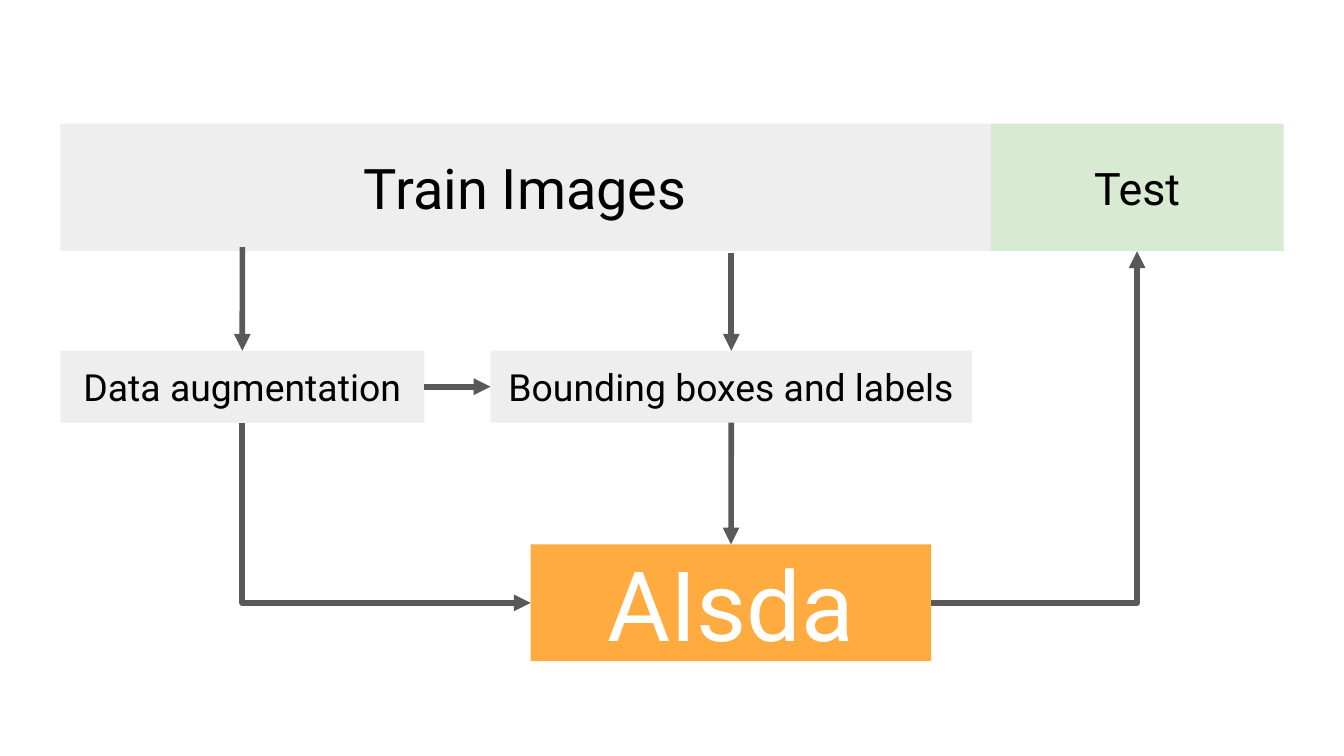
from lxml.etree import SubElement as Sub
from pptx import Presentation
from pptx.dml.color import RGBColor as RGB
from pptx.enum.shapes import MSO_CONNECTOR as Link, MSO_SHAPE as Form
from pptx.enum.text import MSO_ANCHOR as Anchor, MSO_AUTO_SIZE as Fit, PP_ALIGN as Align
from pptx.oxml.ns import qn
from pptx.util import Cm, Pt

FONT = "Roboto"
BLACK = RGB(0x00, 0x00, 0x00)
WHITE = RGB(0xFF, 0xFF, 0xFF)
GRAY = RGB(0xEE, 0xEE, 0xEE)
GREEN = RGB(0xD9, 0xEA, 0xD3)
AMBER = RGB(0xFF, 0xAB, 0x40)
DARK = RGB(0x59, 0x59, 0x59)

# Rows and columns of the flow, in cm
LEFT, TOP, HIGH = 1.14, 2.34, 2.41
SPLIT, RIGHT = 18.72, 24.26
BASE = TOP + HIGH
STEP, LOW = 6.63, 1.36
AUG_X, BOX_X = 4.58, 13.82
TEST_X = (SPLIT + RIGHT) / 2
MODEL_L, MODEL_W, MODEL_T, MODEL_H = 10.03, 7.57, 10.29, 2.21
MODEL_Y = MODEL_T + MODEL_H / 2


def write(shape, text, size, fill, color):
    """Fill a shape and centre one line of text in it."""
    shape.fill.solid()
    shape.fill.fore_color.rgb = fill
    frame = shape.text_frame
    frame.word_wrap = True
    frame.auto_size = Fit.NONE
    frame.vertical_anchor = Anchor.MIDDLE
    frame.margin_left = frame.margin_right = Cm(0.25)
    frame.margin_top = frame.margin_bottom = Cm(0.25)
    para = frame.paragraphs[0]
    para.alignment = Align.CENTER
    run = para.add_run()
    run.text = text
    run.font.name = FONT
    run.font.size = Pt(size)
    run.font.color.rgb = color


def block(slide, left, top, wide, high, text, size, fill=GRAY):
    shape = slide.shapes.add_shape(
        Form.RECTANGLE, Cm(left), Cm(top), Cm(wide), Cm(high))
    shape.shadow.inherit = False
    shape.line.fill.background()
    write(shape, text, size, fill, BLACK)
    return shape


def title(slide, text):
    shape = slide.shapes.title
    shape.left, shape.top = Cm(MODEL_L), Cm(MODEL_T)
    shape.width, shape.height = Cm(MODEL_W), Cm(MODEL_H)
    write(shape, text, 52, AMBER, WHITE)
    return shape


def style(link):
    """Give a connector its line, round joins and arrowhead."""
    link.line.width = Pt(3)
    link.line.color.rgb = DARK
    props = link.element.spPr
    line = props.find(qn("a:ln"))
    Sub(line, qn("a:round"))
    Sub(line, qn("a:tailEnd"), type="triangle")
    Sub(props, qn("a:effectLst"))


def arrow(slide, start, end, source=None, side=2, target=None, goal=0):
    link = slide.shapes.add_connector(Link.STRAIGHT, *map(Cm, start + end))
    if source is not None:
        link.begin_connect(source, side)
    if target is not None:
        link.end_connect(target, goal)
    style(link)


def elbow(slide, start, end, turn):
    """Draw a one-corner arrow, flipped and turned about its centre."""
    wide, high = abs(end[0] - start[0]), abs(end[1] - start[1])
    mid_x, mid_y = (start[0] + end[0]) / 2, (start[1] + end[1]) / 2
    if turn % 180:
        wide, high = high, wide
    link = slide.shapes.add_connector(
        Link.ELBOW, Cm(mid_x + wide / 2), Cm(mid_y - high / 2),
        Cm(mid_x - wide / 2), Cm(mid_y + high / 2))
    props = link.element.spPr
    props.find(qn("a:xfrm")).set("rot", str(turn * 60000))
    props.find(qn("a:prstGeom")).set("prst", "bentConnector2")
    style(link)


def main():
    deck = Presentation()
    deck.slide_width, deck.slide_height = Cm(25.4), Cm(14.29)
    slide = deck.slides.add_slide(deck.slide_layouts[5])

    # Data split and model
    block(slide, SPLIT, TOP, RIGHT - SPLIT, HIGH, "Test", 24, GREEN)
    block(slide, LEFT, TOP, SPLIT - LEFT, HIGH, "Train Images", 30)
    model = title(slide, "AIsda")

    # Preparation steps
    aug = block(slide, LEFT, STEP, 2 * (AUG_X - LEFT), LOW,
                "Data augmentation", 20)
    boxes = block(slide, 9.27, STEP, 2 * (BOX_X - 9.27), LOW,
                  "Bounding boxes and labels", 20)

    # Bent arrows into and out of the model
    elbow(slide, (MODEL_L + MODEL_W, MODEL_Y), (TEST_X, BASE), 180)
    elbow(slide, (AUG_X, STEP + LOW), (MODEL_L, MODEL_Y), 270)

    # Straight arrows
    mid = STEP + LOW / 2
    arrow(slide, (AUG_X, 4.67), (AUG_X, STEP), target=aug)
    arrow(slide, (BOX_X, 4.78), (BOX_X, STEP), target=boxes)
    arrow(slide, (BOX_X, STEP + LOW), (BOX_X, MODEL_T), boxes, 2, model, 0)
    arrow(slide, (8.02, mid), (9.27, mid), aug, 3, boxes, 1)

    deck.save("out.pptx")


if __name__ == "__main__":
    main()
